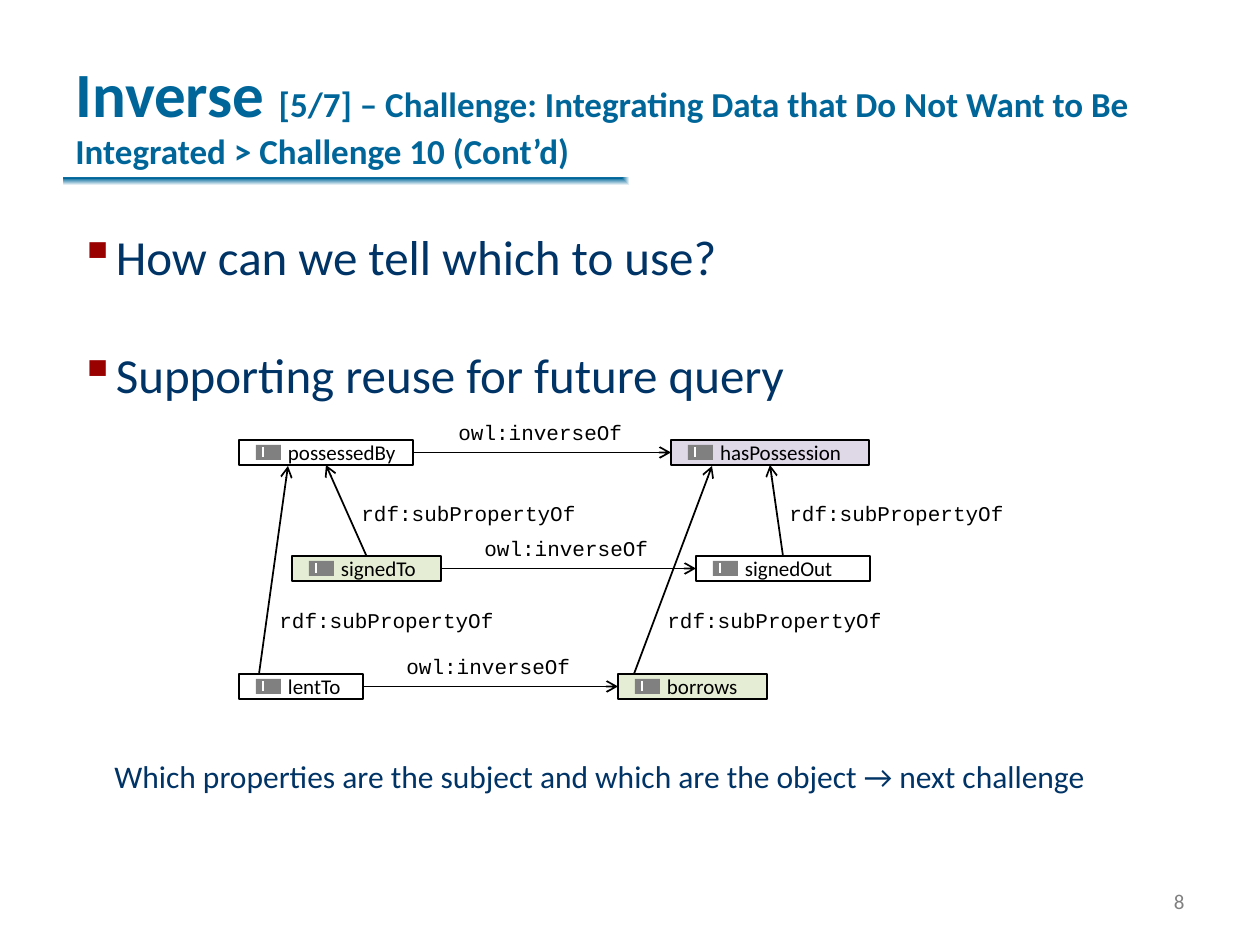
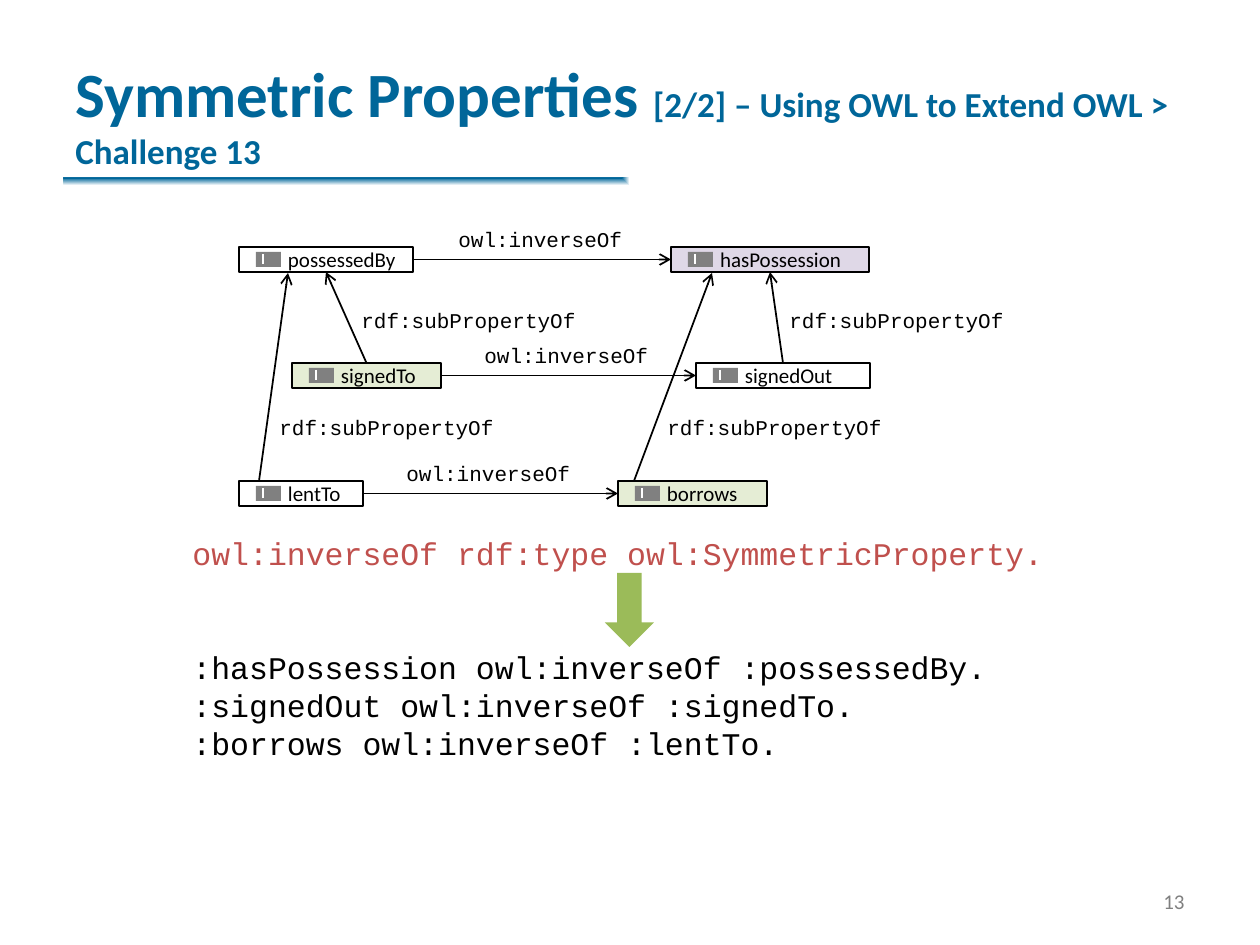
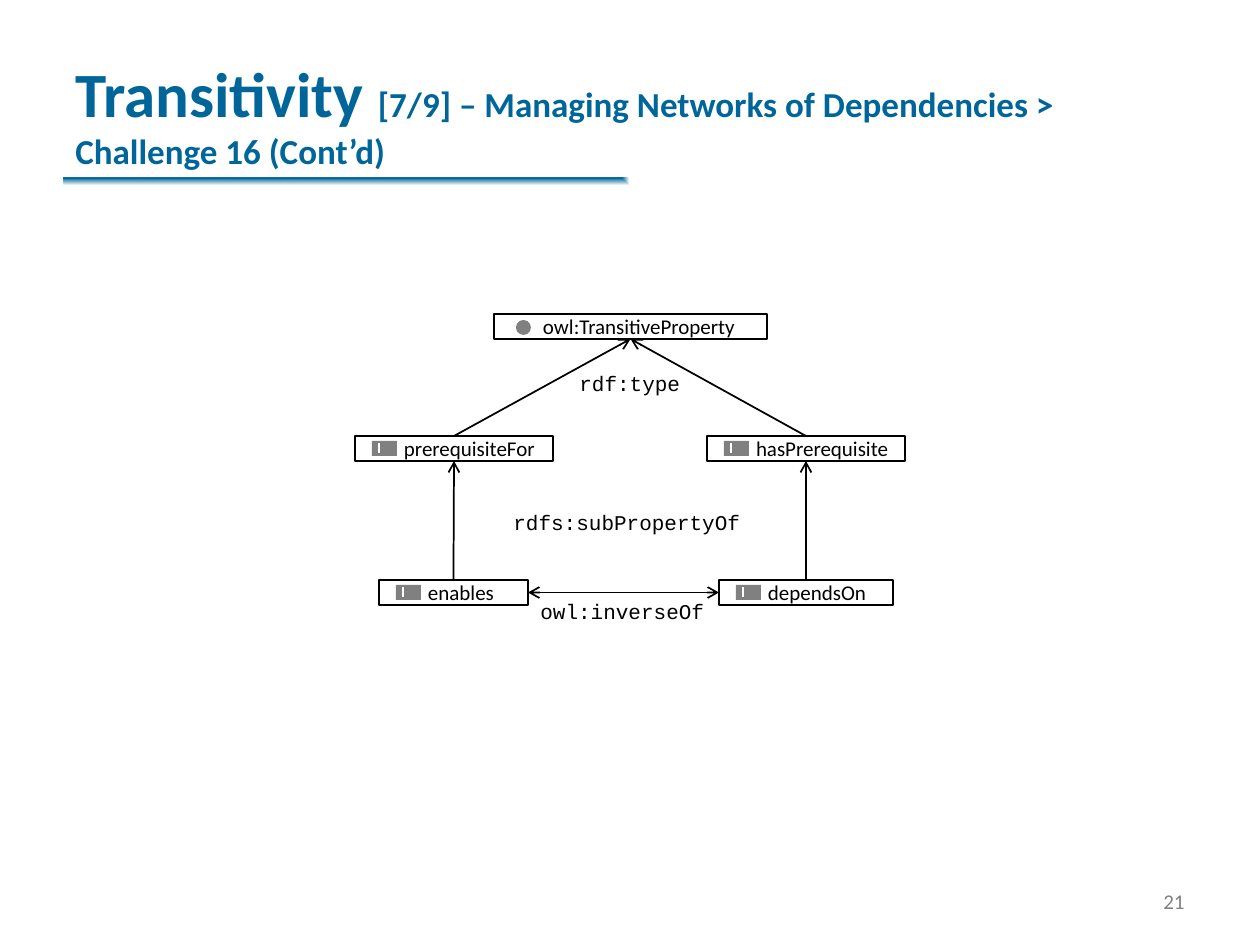
"""Build three slides on OWL property diagrams."""
from lxml.etree import SubElement
from pptx import Presentation
from pptx.dml.color import RGBColor
from pptx.enum.shapes import MSO_CONNECTOR, MSO_SHAPE
from pptx.enum.text import MSO_ANCHOR, PP_ALIGN
from pptx.oxml import parse_xml
from pptx.oxml.ns import nsdecls, qn
from pptx.util import Emu, Pt

SANS, MONO = "Calibri", "Courier New"
TEAL, NAVY, MAROON, GRAY = "006699", "003366", "990000", "808080"
BLACK, WHITE, RED, GREEN, PURPLE = "000000", "FFFFFF", "C0504D", "9BBB59", "8064A2"
TOP, LEFT, BOTTOM, RIGHT = range(4)
NODE_H, LABEL_H, INSET = 25, 38, 13

SLIDES = [
    ("Inverse ", "[5/7] – Challenge: Integrating Data that Do Not Want to Be "
     "Integrated > Challenge 10 (Cont’d)", 8),
    ("Symmetric Properties ", "[2/2] – Using OWL to Extend OWL > Challenge 13", 13),
    ("Transitivity ", "[7/9] – Managing Networks of Dependencies > "
     "Challenge 16 (Cont’d)", 21),
]

BODY = [
    ("How can we tell which to use?", 28, 0, True),
    ("Supporting reuse for future query", 28, 34, True),
    ("Which properties are the subject and which are the object → next challenge",
     18, 202, False),
]

CODE = [
    ("owl:inverseOf rdf:type owl:SymmetricProperty.", RED, 0),
    (":hasPossession owl:inverseOf :possessedBy.", BLACK, 43.5),
    (":signedOut owl:inverseOf :signedTo.", BLACK, 0),
    (":borrows owl:inverseOf :lentTo.", BLACK, 0),
]

POSSESSION = {
    "nodes": [
        ("possessedBy", 239, 0, 174, None),
        ("hasPossession", 671, 0, 198, PURPLE),
        ("signedTo", 292, 116, 149, GREEN),
        ("signedOut", 696, 116, 174, None),
        ("lentTo", 239, 234, 124, None),
        ("borrows", 618, 234, 149, GREEN),
    ],
    "links": [
        (("possessedBy", RIGHT), ("hasPossession", LEFT), False),
        (("signedTo", RIGHT), ("signedOut", LEFT), False),
        (("lentTo", RIGHT), ("borrows", LEFT), False),
        (("signedTo", TOP), (326, 25), False),
        (("signedOut", TOP), (770, 25), False),
        ((259, 234), (288, 26), False),
        ((634, 234), (712, 26), False),
    ],
    "labels": [
        ("owl:inverseOf", 446, -27),
        ("owl:inverseOf", 472, 89),
        ("owl:inverseOf", 394, 207),
        ("rdf:subPropertyOf", 267, 161),
        ("rdf:subPropertyOf", 655, 161),
        ("rdf:subPropertyOf", 777, 54),
        ("rdf:subPropertyOf", 349, 54),
    ],
}

PREREQUISITE = {
    "nodes": [
        ("owl:TransitiveProperty", 494, 0, 273, None),
        ("prerequisiteFor", 355, 122, 198, None),
        ("hasPrerequisite", 707, 122, 198, None),
        ("enables", 379, 266, 149, None),
        ("dependsOn", 719, 266, 174, None),
    ],
    "links": [
        (("prerequisiteFor", TOP), ("owl:TransitiveProperty", BOTTOM), False),
        (("hasPrerequisite", TOP), ("owl:TransitiveProperty", BOTTOM), False),
        (("enables", TOP), ("prerequisiteFor", BOTTOM), False),
        (("dependsOn", TOP), ("hasPrerequisite", BOTTOM), False),
        (("enables", RIGHT), ("dependsOn", LEFT), True),
    ],
    "labels": [
        ("rdf:type", 567, 50),
        ("rdfs:subPropertyOf", 501, 189),
        ("owl:inverseOf", 528, 278),
    ],
}


def px(n):
    return Emu(round(n * 914400 / 126))


def rgb(color):
    return RGBColor.from_string(color)


def add_run(p, text, size, color, font=SANS, bold=False):
    r = p.add_run()
    r.text = text
    r.font.size, r.font.name, r.font.bold = Pt(size), font, bold
    r.font.color.rgb = rgb(color)


def add_text(slide, x, y, w, h, anchor=MSO_ANCHOR.TOP, wrap=True):
    tf = slide.shapes.add_textbox(px(x), px(y), px(w), px(h)).text_frame
    tf.word_wrap, tf.vertical_anchor = wrap, anchor
    return tf


def add_paragraph(tf, i, before):
    p = tf.add_paragraph() if i else tf.paragraphs[0]
    if before:
        p.space_before = Pt(before)
    return p


def add_box(slide, kind, x, y, w, h, fill=None, line=None):
    sp = slide.shapes.add_shape(kind, px(x), px(y), px(w), px(h))
    sp.shadow.inherit = False
    if fill:
        sp.fill.solid()
        sp.fill.fore_color.rgb = rgb(fill)
    else:
        sp.fill.background()
    if line:
        sp.line.color.rgb, sp.line.width = rgb(line), Pt(1)
    else:
        sp.line.fill.background()
    return sp


def add_line(slide, start, end, color=BLACK, width=1):
    cx = slide.shapes.add_connector(MSO_CONNECTOR.STRAIGHT, *map(px, start + end))
    cx.line.color.rgb, cx.line.width = rgb(color), Pt(width)
    SubElement(cx._element.spPr, qn("a:effectLst"))
    return cx


def add_node(slide, name, x, y, w, tint):
    sp = add_box(slide, MSO_SHAPE.RECTANGLE, x, y, w, NODE_H, tint, BLACK)
    if tint:
        clr = sp._element.spPr.find(qn("a:solidFill"))[0]
        SubElement(clr, qn("a:alpha"), val="25000")
    tf = sp.text_frame
    tf.word_wrap, tf.vertical_anchor = True, MSO_ANCHOR.MIDDLE
    tf.margin_left = px(49)
    p = tf.paragraphs[0]
    p.alignment = PP_ALIGN.LEFT
    add_run(p, name, 12, BLACK)
    if name.startswith("owl:"):
        add_box(slide, MSO_SHAPE.OVAL, x + 22, y + 6, 15, 15, GRAY)
    else:
        add_box(slide, MSO_SHAPE.RECTANGLE, x + 17, y + 5, 25, 15, GRAY)
        add_line(slide, (x + 24, y + 7), (x + 24, y + 17), WHITE, 1.5)
    return sp


def add_link(slide, nodes, top, start, end, both):
    ends = [(0, 0) if e[0] in nodes else (e[0], top + e[1]) for e in (start, end)]
    cx = add_line(slide, *ends)
    if start[0] in nodes:
        cx.begin_connect(nodes[start[0]], start[1])
    if end[0] in nodes:
        cx.end_connect(nodes[end[0]], end[1])
    ln = cx.line._get_or_add_ln()
    for tag in ("a:headEnd", "a:tailEnd") if both else ("a:tailEnd",):
        SubElement(ln, qn(tag), type="arrow")


def add_diagram(slide, diagram, top):
    nodes = {}
    for name, x, y, w, tint in diagram["nodes"]:
        nodes[name] = add_node(slide, name, x, top + y, w, tint)
    for link in diagram["links"]:
        add_link(slide, nodes, top, *link)
    for text, x, y in diagram["labels"]:
        tf = add_text(slide, x, top + y, 28 + 12.6 * len(text), LABEL_H, wrap=False)
        add_run(tf.paragraphs[0], text, 12, BLACK, MONO)


def add_band(slide):
    sp = add_box(slide, MSO_SHAPE.RECTANGLE, 64, 178, 1131, 15)
    spPr = sp._element.spPr
    spPr.replace(spPr.find(qn("a:noFill")), parse_xml(
        f'<a:gradFill {nsdecls("a")} rotWithShape="1"><a:gsLst>'
        f'<a:gs pos="0"><a:srgbClr val="{TEAL}"/></a:gs>'
        f'<a:gs pos="100000"><a:srgbClr val="{WHITE}"/></a:gs></a:gsLst>'
        '<a:path path="rect"><a:fillToRect r="100000" b="100000"/></a:path>'
        '</a:gradFill>'))


def add_slide(prs, topic, detail, number):
    slide = prs.slides.add_slide(prs.slide_layouts[6])
    add_band(slide)
    p = add_text(slide, 63, 0, 1134, 178, MSO_ANCHOR.BOTTOM).paragraphs[0]
    add_run(p, topic, 36, TEAL, bold=True)
    add_run(p, detail, 20, TEAL, bold=True)
    p = add_text(slide, 1131, 876, 66, 50, MSO_ANCHOR.MIDDLE).paragraphs[0]
    p.alignment = PP_ALIGN.RIGHT
    add_run(p, str(number), 12, GRAY)
    return slide


def add_body(slide):
    tf = add_text(slide, 63, 220, 1134, 624)
    for i, (text, size, before, bullet) in enumerate(BODY):
        p = add_paragraph(tf, i, before)
        pPr = p._p.get_or_add_pPr()
        pPr.set("marL", str(px(39)))
        if bullet:
            pPr.set("indent", str(px(-35)))
            clr = SubElement(pPr, qn("a:buClr"))
            SubElement(clr, qn("a:srgbClr"), val=MAROON)
            SubElement(pPr, qn("a:buChar"), char="▪")
        add_run(p, text, size, NAVY)


def add_code(slide):
    tf = add_text(slide, 180, 528, 900, 242, wrap=False)
    for i, (text, color, before) in enumerate(CODE):
        add_run(add_paragraph(tf, i, before), text, 18, color, MONO)
    add_box(slide, MSO_SHAPE.DOWN_ARROW, 605, 573, 49, 74, GREEN)


def main():
    prs = Presentation()
    prs.slide_width, prs.slide_height = px(1260), px(945)
    inverse, symmetric, transitive = [add_slide(prs, *s) for s in SLIDES]
    add_body(inverse)
    add_diagram(inverse, POSSESSION, 440)
    add_diagram(symmetric, POSSESSION, 247)
    add_code(symmetric)
    add_diagram(transitive, PREREQUISITE, 314)
    prs.save("out.pptx")


if __name__ == "__main__":
    main()
